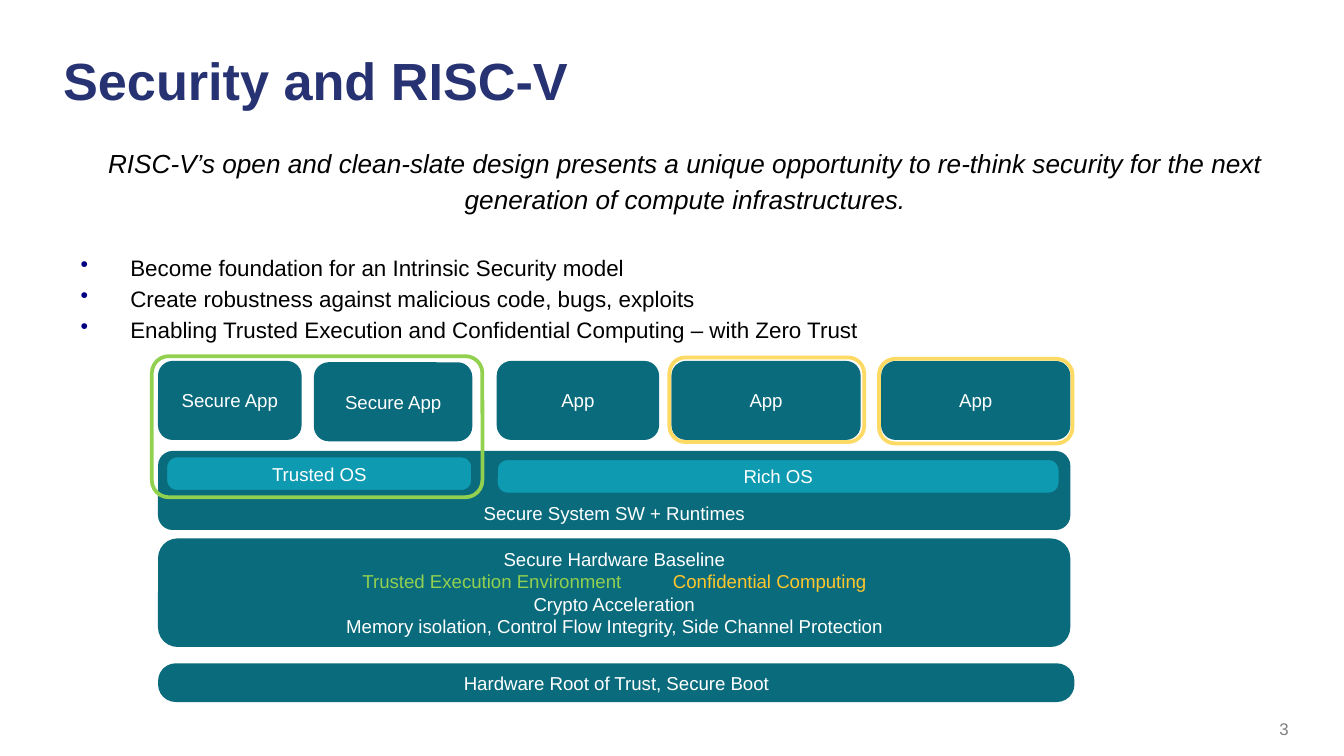
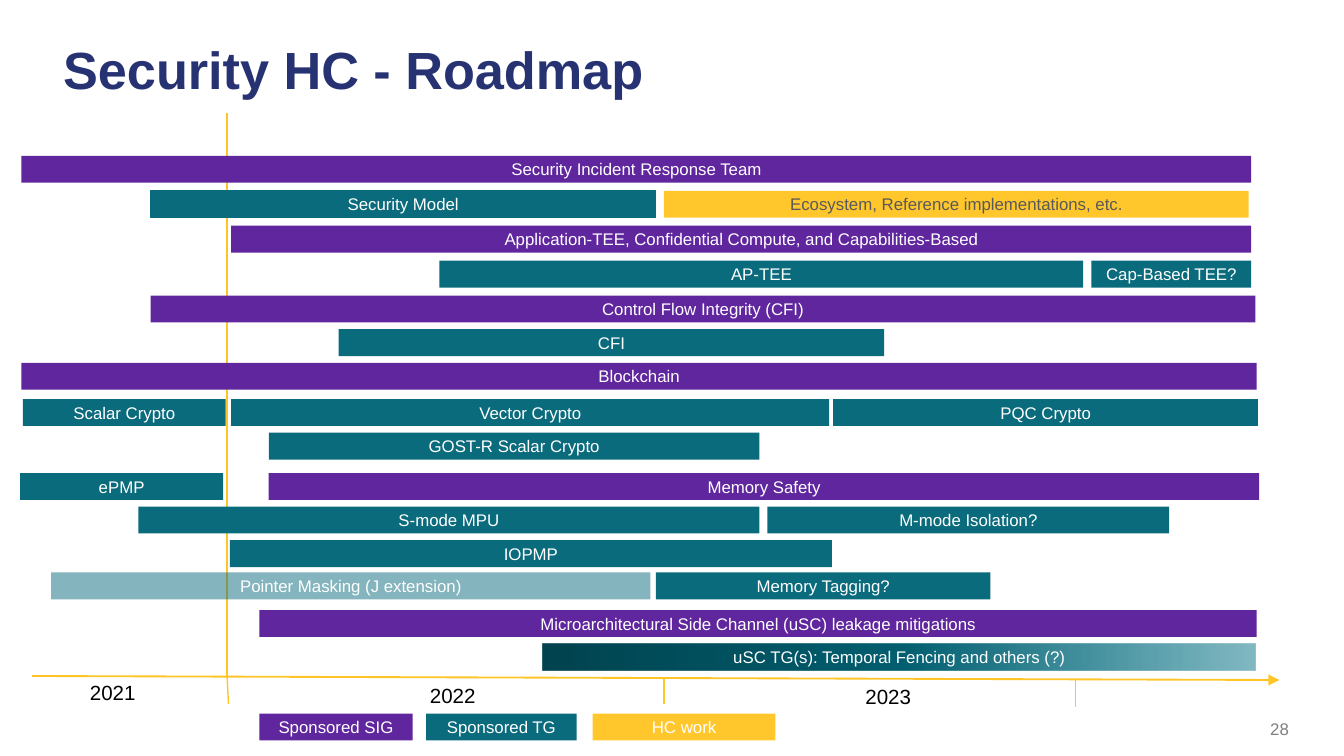
from dataclasses import dataclass
from typing import Optional

from lxml.etree import SubElement
from pptx import Presentation
from pptx.dml.color import RGBColor
from pptx.enum.shapes import MSO_CONNECTOR, MSO_SHAPE
from pptx.enum.text import MSO_ANCHOR, PP_ALIGN
from pptx.oxml import parse_xml
from pptx.oxml.ns import nsdecls, qn
from pptx.util import Emu, Pt

# Shared look
PX = 9144  # 100 px to the inch
SLIDE_WIDTH = 1000
FONT = "Arial"
NAVY = RGBColor(0x27, 0x32, 0x72)
BULLET_BLUE = RGBColor(0x00, 0x00, 0x80)
TEAL = RGBColor(0x0A, 0x6B, 0x7C)
CYAN = RGBColor(0x0E, 0x9B, 0xB2)
PURPLE = RGBColor(0x60, 0x26, 0x9E)
GOLD = RGBColor(0xFF, 0xC7, 0x2C)
AXIS_GOLD = RGBColor(0xFF, 0xC5, 0x26)
PALE_GOLD = RGBColor(0xFD, 0xDA, 0x64)
GREEN = RGBColor(0x92, 0xD0, 0x50)
BLACK = RGBColor(0x00, 0x00, 0x00)
GREY = RGBColor(0x7F, 0x7F, 0x7F)
DARK_GREY = RGBColor(0x59, 0x59, 0x59)
WHITE = RGBColor(0xFF, 0xFF, 0xFF)


def px(length: int) -> Emu:
    return Emu(length * PX)


def set_font(font, size: int, color: Optional[RGBColor], bold=False, italic=False) -> None:
    font.name, font.size = FONT, Pt(size)
    font.bold, font.italic = bold, italic
    if color is not None:
        font.color.rgb = color


def add_text_frame(slide, left: int, top: int, width: int, height: int,
                   anchor=MSO_ANCHOR.TOP):
    box = slide.shapes.add_textbox(px(left), px(top), px(width), px(height))
    frame = box.text_frame
    frame.word_wrap = True
    frame.vertical_anchor = anchor
    frame.margin_left = frame.margin_right = px(7)
    frame.margin_top = frame.margin_bottom = px(4)
    return frame


def add_slide(deck, title: str, title_top: int, number: int):
    slide = deck.slides.add_slide(deck.slide_layouts[6])
    heading = add_text_frame(slide, 40, title_top, 877, 75, MSO_ANCHOR.MIDDLE).paragraphs[0]
    heading.text = title
    heading.line_spacing = 0.95
    set_font(heading.font, 28, NAVY, bold=True)
    page = add_text_frame(slide, 733, 529, 233, 25, MSO_ANCHOR.BOTTOM).paragraphs[0]
    page.text = str(number)
    page.alignment = PP_ALIGN.RIGHT
    set_font(page.font, 9, GREY)
    return slide


# Slide 1: security stack
@dataclass(frozen=True)
class Block:
    left: int
    top: int
    width: int
    height: int
    label: str = ""
    fill: Optional[RGBColor] = TEAL
    line: RGBColor = TEAL
    corner: float = 0.17
    at_bottom: bool = False


QUOTE = ("RISC-V’s open and clean-slate design presents a unique opportunity to re-think "
         "security for the next generation of compute infrastructures.")
GOALS = (
    "Become foundation for an Intrinsic Security model",
    "Create robustness against malicious code, bugs, exploits",
    "Enabling Trusted Execution and Confidential Computing – with Zero Trust",
)
BASELINE = Block(119, 402, 676, 78)
STACK = (
    Block(119, 270, 104, 56, "Secure App"),
    Block(119, 337, 676, 56, "Secure System SW + Runtimes", at_bottom=True),
    Block(235, 271, 115, 56, "Secure App"),
    Block(657, 270, 138, 56, "App"),
    Block(119, 495, 679, 26, "Hardware Root of Trust, Secure Boot", corner=0.45),
    Block(654, 267, 144, 63, fill=None, line=PALE_GOLD, corner=0.19),
    Block(113, 265, 246, 105, fill=None, line=GREEN, corner=0.12),
    Block(123, 339, 229, 27, "Trusted OS", CYAN, corner=0.32),
    Block(369, 341, 420, 27, "Rich OS", CYAN, corner=0.32),
    Block(371, 270, 118, 56, "App"),
    Block(501, 270, 138, 56, "App"),
    Block(498, 266, 145, 63, fill=None, line=PALE_GOLD, corner=0.19),
)


def add_block(slide, block: Block):
    shape = slide.shapes.add_shape(MSO_SHAPE.ROUNDED_RECTANGLE, px(block.left), px(block.top),
                                   px(block.width), px(block.height))
    shape.shadow.inherit = False
    shape.adjustments[0] = block.corner
    if block.fill is None:
        shape.fill.background()
    else:
        shape.fill.solid()
        shape.fill.fore_color.rgb = block.fill
    shape.line.color.rgb = block.line
    shape.line.width = Pt(2)
    frame = shape.text_frame
    frame.vertical_anchor = MSO_ANCHOR.MIDDLE
    if block.at_bottom:
        frame.vertical_anchor = MSO_ANCHOR.BOTTOM
        frame.margin_bottom = 0
    if block.label:
        label = frame.paragraphs[0]
        label.text = block.label
        label.alignment = PP_ALIGN.CENTER
        set_font(label.font, 10, WHITE)
    return frame


def add_goals(slide) -> None:
    frame = add_text_frame(slide, 40, 102, 927, 411)
    quote = frame.paragraphs[0]
    quote.text = QUOTE
    quote.alignment = PP_ALIGN.CENTER
    quote.line_spacing = 1.15
    quote.space_after = Pt(19)
    quote._p.get_or_add_pPr().set("marL", str(px(13)))
    set_font(quote.font, 14, BLACK, italic=True)
    for text in GOALS:
        goal = frame.add_paragraph()
        goal.text = text
        props = goal._p.get_or_add_pPr()
        props.set("marL", str(px(50)))
        props.set("indent", str(px(-37)))
        bullet_color = SubElement(props, qn("a:buClr"))
        SubElement(bullet_color, qn("a:srgbClr")).set("val", str(BULLET_BLUE))
        SubElement(props, qn("a:buChar")).set("char", "•")
        goal.line_spacing = 1.15
        set_font(goal.font, 12, BLACK)


def add_baseline(slide) -> None:
    frame = add_block(slide, BASELINE)
    lines = ("Secure Hardware Baseline", "", "Crypto Acceleration",
             "Memory isolation, Control Flow Integrity, Side Channel Protection")
    for index, text in enumerate(lines):
        line = frame.add_paragraph() if index else frame.paragraphs[0]
        if text:
            line.text = text
            line.alignment = PP_ALIGN.CENTER
            set_font(line.font, 10, WHITE)
            continue
        # Two coloured terms set side by side on tab stops
        line.alignment = PP_ALIGN.LEFT
        tabs = SubElement(line._p.get_or_add_pPr(), qn("a:tabLst"))
        for stop in (137, 368):
            SubElement(tabs, qn("a:tab"), pos=str(px(stop)), algn="l")
        set_font(line.font, 10, None)
        for term, color in (("Trusted Execution Environment", GREEN),
                            ("Confidential Computing", GOLD)):
            run = line.add_run()
            run.text = "\t" + term
            run.font.color.rgb = color


def build_stack(deck) -> None:
    slide = add_slide(deck, "Security and RISC-V", 24, 3)
    add_goals(slide)
    add_baseline(slide)
    for block in STACK:
        add_block(slide, block)


# Slide 2: roadmap
@dataclass(frozen=True)
class Bar:
    left: int
    width: int
    label: str
    fill: Optional[RGBColor] = TEAL  # None gives the fading gradient
    color: RGBColor = WHITE
    opacity: int = 100
    outlined: bool = False


@dataclass(frozen=True)
class AxisLine:
    x1: int
    y1: int
    x2: int
    y2: int
    weight: float = 0.75
    arrow: bool = False


BAR_HEIGHT = 20
ROWS = {
    116: (Bar(16, 915, "Security Incident Response Team", PURPLE),),
    142: (Bar(112, 376, "Security Model", outlined=True),
          Bar(494, 435, "Ecosystem, Reference implementations, etc.", GOLD, DARK_GREY)),
    168: (Bar(172, 759, "Application-TEE, Confidential Compute, and Capabilities-Based",
              PURPLE),),
    194: (Bar(327, 479, "AP-TEE"), Bar(812, 119, "Cap-Based TEE?")),
    220: (Bar(112, 822, "Control Flow Integrity (CFI)", PURPLE),),
    245: (Bar(252, 406, "CFI"),),
    270: (Bar(16, 919, "Blockchain", PURPLE),),
    297: (Bar(17, 151, "Scalar Crypto"), Bar(172, 445, "Vector Crypto"),
          Bar(620, 316, "PQC Crypto")),
    322: (Bar(200, 365, "GOST-R Scalar Crypto"),),
    352: (Bar(15, 151, "ePMP"), Bar(200, 737, "Memory Safety", PURPLE)),
    377: (Bar(103, 462, "S-mode MPU"), Bar(571, 299, "M-mode Isolation?")),
    402: (Bar(171, 448, "IOPMP"),),
    426: (Bar(38, 446, "Pointer Masking (J extension)", opacity=50),
          Bar(488, 249, "Memory Tagging?")),
    454: (Bar(193, 742, "Microarchitectural Side Channel (uSC) leakage mitigations", PURPLE),),
    479: (Bar(404, 530, "uSC TG(s): Temporal Fencing and others (?)", None),),
    # Legend
    531: (Bar(193, 114, "Sponsored SIG", PURPLE), Bar(317, 112, "Sponsored TG"),
          Bar(441, 136, "HC work", GOLD)),
}
AXIS = (
    AxisLine(24, 503, 952, 506, 1, arrow=True),
    AxisLine(169, 504, 169, 84, 1),
    AxisLine(494, 504, 494, 524),
    AxisLine(169, 504, 170, 524),
    AxisLine(800, 506, 800, 526),
)
YEARS = (("2021", 57, 501), ("2022", 310, 503), ("2023", 634, 504))
FADE = (f'<a:gradFill {nsdecls("a")} rotWithShape="1"><a:gsLst>'
        '<a:gs pos="0"><a:srgbClr val="01434F"/></a:gs>'
        '<a:gs pos="50000"><a:srgbClr val="015F70"/></a:gs>'
        '<a:gs pos="99000"><a:srgbClr val="017185"><a:alpha val="50000"/></a:srgbClr></a:gs>'
        '</a:gsLst><a:lin ang="0" scaled="0"/></a:gradFill>')


def add_axis_line(slide, axis: AxisLine) -> None:
    connector = slide.shapes.add_connector(MSO_CONNECTOR.STRAIGHT, px(axis.x1), px(axis.y1),
                                           px(axis.x2), px(axis.y2))
    connector.line.color.rgb = AXIS_GOLD
    connector.line.width = Pt(axis.weight)
    if axis.arrow:
        SubElement(connector.line._get_or_add_ln(), qn("a:tailEnd")).set("type", "triangle")
    SubElement(connector._element.spPr, qn("a:effectLst"))


def add_year(slide, year: str, left: int, top: int) -> None:
    box = slide.shapes.add_textbox(px(left), px(top), px(55), px(29))
    box.text_frame.word_wrap = False
    label = box.text_frame.paragraphs[0]
    label.text = year
    set_font(label.font, 11, BLACK)


def add_bar(slide, top: int, bar: Bar) -> None:
    shape = slide.shapes.add_shape(MSO_SHAPE.RECTANGLE, px(bar.left), px(top),
                                   px(bar.width), px(BAR_HEIGHT))
    shape.shadow.inherit = False
    if bar.fill is None:
        shape._element.spPr.find(qn("a:prstGeom")).addnext(parse_xml(FADE))
    else:
        shape.fill.solid()
        shape.fill.fore_color.rgb = bar.fill
    if bar.opacity < 100:
        tint = shape._element.spPr.find(qn("a:solidFill")).find(qn("a:srgbClr"))
        SubElement(tint, qn("a:alpha")).set("val", str(bar.opacity * 1000))
    if bar.outlined:
        shape.line.color.rgb = TEAL
        shape.line.width = Pt(0.5)
    else:
        shape.line.fill.background()
    shape.text_frame.vertical_anchor = MSO_ANCHOR.MIDDLE
    label = shape.text_frame.paragraphs[0]
    label.text = bar.label
    label.alignment = PP_ALIGN.CENTER
    set_font(label.font, 9, bar.color)


def build_roadmap(deck) -> None:
    slide = add_slide(deck, "Security HC - Roadmap", 16, 28)
    for axis in AXIS:
        add_axis_line(slide, axis)
    for year, left, top in YEARS:
        add_year(slide, year, left, top)
    for top, bars in ROWS.items():
        for bar in bars:
            add_bar(slide, top, bar)


def main() -> None:
    deck = Presentation()
    deck.slide_width = px(SLIDE_WIDTH)
    deck.slide_height = Emu(px(SLIDE_WIDTH) * 9 // 16)
    build_stack(deck)
    build_roadmap(deck)
    deck.save("out.pptx")


if __name__ == "__main__":
    main()
